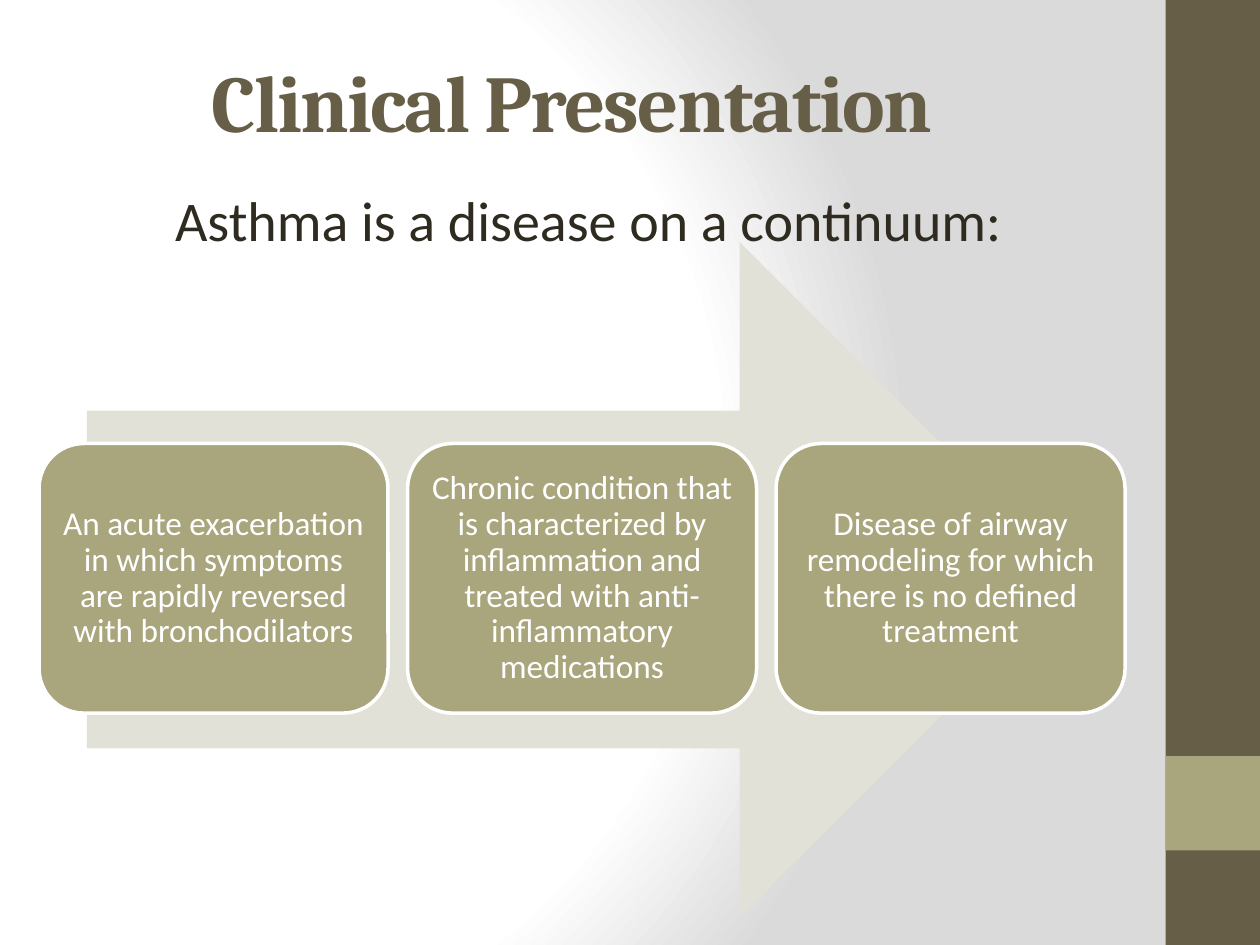
from lxml import etree
from pptx import Presentation
from pptx import util as u
from pptx.dml import color
from pptx.enum import shapes, text
from pptx.oxml import ns

BROWN, OLIVE, PALE = "675E47", "A9A57C", "E2E1D7"
WHITE, GREY, INK = "FFFFFF", "DADADA", "2F2B20"


def rgb(value):
    return color.RGBColor.from_string(value)


def inches(*lengths):
    return [u.Inches(length) for length in lengths]


class SlideBuilder:
    heading_font = "Cambria"
    body_font = "Calibri"

    def __init__(self, deck):
        self.page = deck.slides.add_slide(deck.slide_layouts[5])

    def radial_background(self, stops, focus):
        self.page.background.fill.gradient()
        gradient = self.page.element.find(".//" + ns.qn("a:gradFill"))
        for child in list(gradient):
            gradient.remove(child)
        stop_list = etree.SubElement(gradient, ns.qn("a:gsLst"))
        for percent, value in stops:
            stop = etree.SubElement(stop_list, ns.qn("a:gs"), pos=str(percent * 1000))
            etree.SubElement(stop, ns.qn("a:srgbClr"), val=value)
        circle = etree.SubElement(gradient, ns.qn("a:path"), {"path": "circle"})
        edges = {side: str(percent * 1000) for side, percent in zip("ltrb", focus)}
        etree.SubElement(circle, ns.qn("a:fillToRect"), edges)

    def shape(self, kind, place, fill, line=None):
        shape = self.page.shapes.add_shape(kind, *inches(*place))
        shape.shadow.inherit = False
        shape.fill.solid()
        shape.fill.fore_color.rgb = rgb(fill)
        if line:
            shape.line.color.rgb = rgb(line)
            shape.line.width = u.Pt(2)
        else:
            shape.line.fill.background()
        return shape

    def set_text(self, box, words, size, ink, font, align, anchor):
        frame = box.text_frame
        frame.word_wrap = True
        frame.auto_size = text.MSO_AUTO_SIZE.NONE
        frame.vertical_anchor = anchor
        para = frame.paragraphs[0]
        para.text = words
        para.alignment = align
        para.font.size = u.Pt(size)
        para.font.name = font
        para.font.color.rgb = rgb(ink)
        return para

    def title(self, place, words):
        box = self.page.shapes.title
        box.left, box.top, box.width, box.height = inches(*place)
        para = self.set_text(box, words, 46, BROWN, self.heading_font,
                             text.PP_ALIGN.LEFT, text.MSO_ANCHOR.MIDDLE)
        para.font.bold = True
        # Tighten the letter spacing by one point
        span = para.runs[0]
        span._r.get_or_add_rPr().set("spc", "-100")

    def lead(self, place, words):
        box = self.page.shapes.add_textbox(*inches(*place))
        box.text_frame.margin_left = u.Inches(0.22)
        self.set_text(box, words, 32, INK, self.body_font,
                      text.PP_ALIGN.LEFT, text.MSO_ANCHOR.TOP)

    def card(self, place, words):
        card = self.shape(shapes.MSO_SHAPE.ROUNDED_RECTANGLE, place, OLIVE, WHITE)
        frame = card.text_frame
        frame.margin_left = frame.margin_right = u.Inches(0.08)
        frame.margin_top = frame.margin_bottom = u.Inches(0.08)
        para = self.set_text(card, words, 19, WHITE, self.body_font,
                             text.PP_ALIGN.CENTER, text.MSO_ANCHOR.MIDDLE)
        para.line_spacing = 0.9


def main():
    deck = Presentation()
    deck.slide_width, deck.slide_height = inches(10, 7.5)
    slide = SlideBuilder(deck)

    # Background and side band
    slide.radial_background([(0, WHITE), (75, WHITE), (100, GREY)], (20, 50, 100, 50))
    slide.shape(shapes.MSO_SHAPE.RECTANGLE, (9.25, 0, 0.75, 7.5), BROWN)
    slide.shape(shapes.MSO_SHAPE.RECTANGLE, (9.25, 6, 0.75, 0.75), OLIVE)

    # Continuum arrow with its three stages
    slide.shape(shapes.MSO_SHAPE.RIGHT_ARROW, (0.69, 1.92, 7.86, 5.36), PALE)
    stages = [
        "An acute exacerbation in which symptoms are rapidly reversed "
        "with bronchodilators",
        "Chronic condition that is characterized by inflammation and treated "
        "with anti-inflammatory medications",
        "Disease of airway remodeling for which there is no defined treatment",
    ]
    first_left, last_left = 0.31, 6.16
    pitch = (last_left - first_left) / (len(stages) - 1)
    for index, words in enumerate(stages):
        slide.card((first_left + index * pitch, 3.52, 2.77, 2.14), words)

    # Title and lead sentence
    slide.title((1.58, 0.17, 8, 1.26), "Clinical Presentation")
    slide.lead((1.17, 1.42, 9.17, 5.42), "Asthma is a disease on a continuum:")

    deck.save("out.pptx")


if __name__ == "__main__":
    main()
